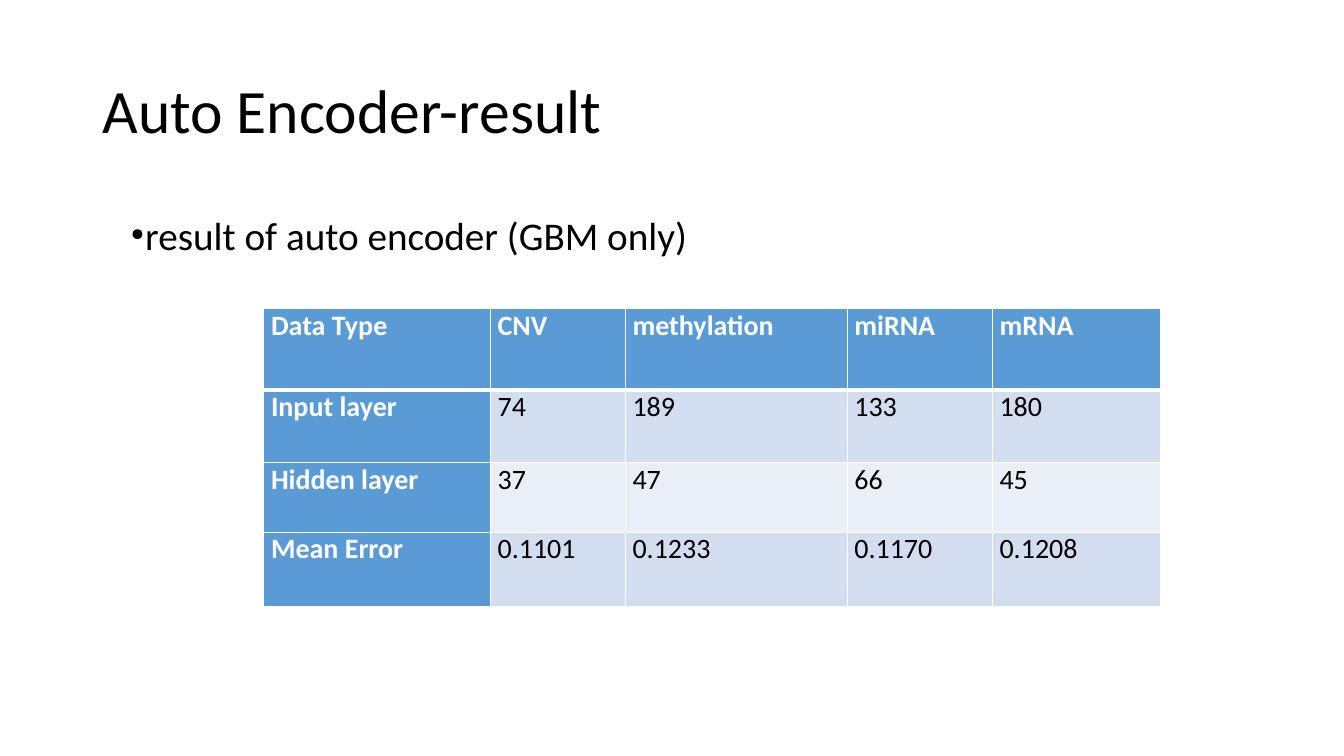
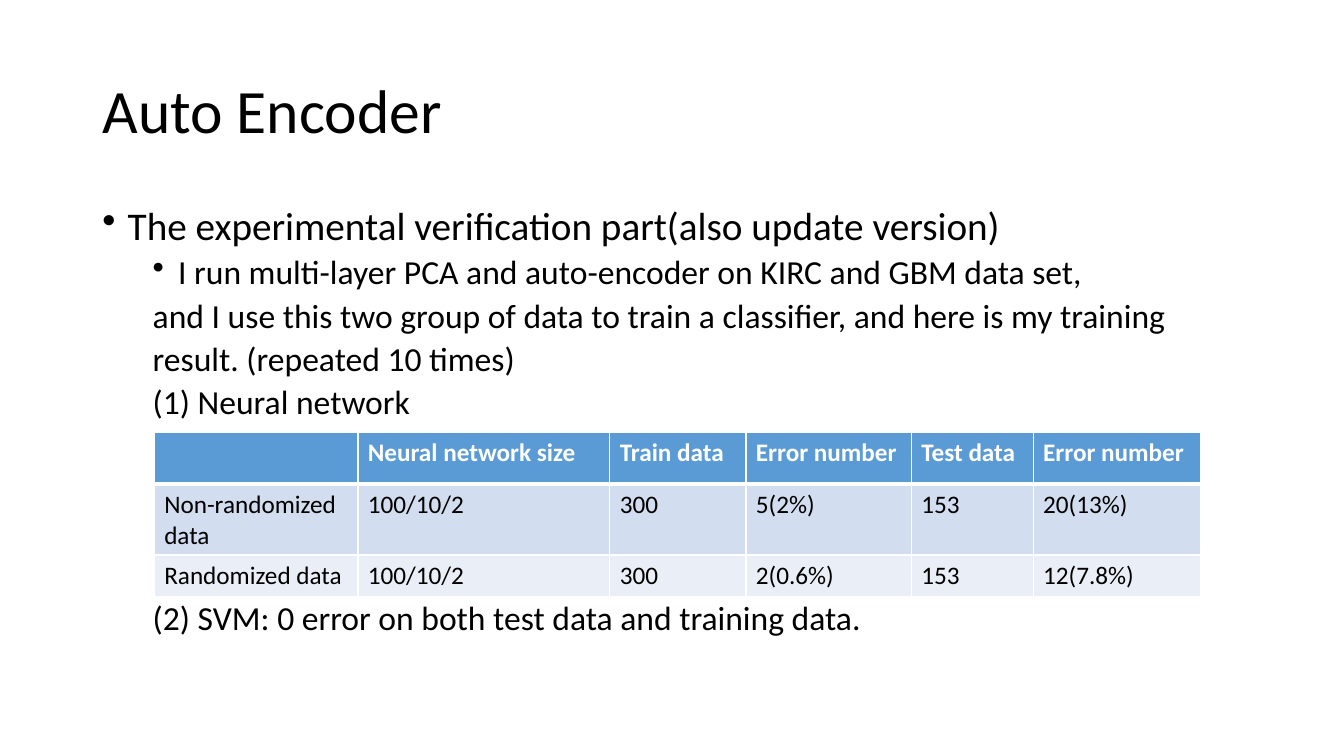
from lxml import etree
from pptx import Presentation
from pptx.dml.color import RGBColor
from pptx.enum import text
from pptx.oxml import ns
from pptx.util import Cm, Pt

FONT = "Calibri"
BLACK = RGBColor(0x00, 0x00, 0x00)
WHITE = RGBColor(0xFF, 0xFF, 0xFF)
BLUE = RGBColor(0x5B, 0x9B, 0xD5)
BANDS = (RGBColor(0xD2, 0xDE, 0xEF), RGBColor(0xEA, 0xEF, 0xF7))

TITLE_BOX = (2.33, 1.02, 29.21, 3.68)

RESULT_ROWS = [
    ["Data Type", "CNV", "methylation", "miRNA", "mRNA"],
    ["Input layer", "74", "189", "133", "180"],
    ["Hidden layer", "37", "47", "66", "45"],
    ["Mean Error", "0.1101", "0.1233", "0.1170", "0.1208"],
]
CLASSIFIER_ROWS = [
    ["", "Neural network size", "Train data", "Error number", "Test data", "Error number"],
    ["Non-randomized data", "100/10/2", "300", "5(2%)", "153", "20(13%)"],
    ["Randomized data", "100/10/2", "300", "2(0.6%)", "153", "12(7.8%)"],
]


def add_bullet(para, char, percent):
    properties = para._p.get_or_add_pPr()
    size = etree.SubElement(properties, ns.qn("a:buSzPct"))
    size.set("val", str(percent * 1000))
    etree.SubElement(properties, ns.qn("a:buChar")).set("char", char)


def write(para, words, size, color=BLACK, bold=False, spacing=1.0, before=0,
          left=0, hanging=0, bullet=None, bullet_percent=100):
    """Fill one paragraph; left and hanging are indents in centimetres."""
    para.alignment = text.PP_ALIGN.LEFT
    para.line_spacing = spacing
    para.space_before = Pt(before)
    properties = para._p.get_or_add_pPr()
    properties.set("marL", str(Cm(left)))
    properties.set("indent", str(Cm(-hanging)))
    if bullet:
        add_bullet(para, bullet, bullet_percent)
    span = para.add_run()
    span.text = words
    span.font.name = FONT
    span.font.size = Pt(size)
    span.font.bold = bold
    span.font.color.rgb = color


def add_page(deck, title):
    page = deck.slides.add_slide(deck.slide_layouts[5])
    box = page.shapes.title
    box.left, box.top, box.width, box.height = map(Cm, TITLE_BOX)
    frame = box.text_frame
    frame.word_wrap = True
    frame.auto_size = text.MSO_AUTO_SIZE.NONE
    frame.vertical_anchor = text.MSO_ANCHOR.MIDDLE
    write(frame.paragraphs[0], title, 44, spacing=0.9)
    return page


def add_text_box(page, box, lines):
    """Place (words, format) pairs in a box, one paragraph each."""
    frame = page.shapes.add_textbox(*map(Cm, box)).text_frame
    frame.word_wrap = True
    for index, (words, style) in enumerate(lines):
        para = frame.add_paragraph() if index else frame.paragraphs[0]
        write(para, words, **style)


def add_borders(cell, bottom):
    properties = cell._tc.get_or_add_tcPr()
    for side, width in (("L", 1), ("R", 1), ("B", bottom)):
        line = etree.SubElement(properties, ns.qn(f"a:ln{side}"))
        line.set("w", str(Pt(width)))
        fill = etree.SubElement(line, ns.qn("a:solidFill"))
        etree.SubElement(fill, ns.qn("a:srgbClr")).set("val", str(WHITE))


def add_data_table(page, corner, widths, heights, rows, size,
                   margins=(0.25, 0.13), header_column=False):
    box = (*corner, sum(widths), sum(heights))
    table = page.shapes.add_table(len(rows), len(widths), *map(Cm, box)).table
    table.first_col = header_column
    for column, width in zip(table.columns, widths):
        column.width = Cm(width)
    for row, height in zip(table.rows, heights):
        row.height = Cm(height)
    for r, values in enumerate(rows):
        for c, value in enumerate(values):
            cell = table.cell(r, c)
            header = r == 0 or (header_column and c == 0)
            add_borders(cell, bottom=1 if r else 3)
            cell.fill.solid()
            cell.fill.fore_color.rgb = BLUE if header else BANDS[(r - 1) % 2]
            cell.margin_left = cell.margin_right = Cm(margins[0])
            cell.margin_top = cell.margin_bottom = Cm(margins[1])
            if value:
                write(cell.text_frame.paragraphs[0], value, size,
                      color=WHITE if header else BLACK, bold=header)


def build_result_page(deck):
    page = add_page(deck, "Auto Encoder-result")
    add_data_table(page, (6.65, 7.77), (5.71, 3.4, 5.59, 3.66, 4.24),
                   (2.06, 1.83, 1.75, 1.88), RESULT_ROWS, 20,
                   margins=(0.18, 0), header_column=True)
    point = dict(size=28, left=0.36, hanging=0.36, bullet="●", bullet_percent=43)
    add_text_box(page, (3.05, 5.21, 14.86, 2.24),
                 [("result of auto encoder (GBM only)", point)])


def build_verification_page(deck):
    page = add_page(deck, "Auto Encoder")
    point = dict(size=28, spacing=0.9, before=10, left=0.64, hanging=0.64, bullet="•")
    plain = dict(size=24, spacing=0.9, before=5, left=1.27)
    subpoint = dict(plain, left=1.91, hanging=0.64, bullet="•")
    below_table = dict(plain, before=128)
    add_text_box(page, (2.33, 5.08, 29.21, 12.09), [
        ("The experimental verification part(also update version)", point),
        ("I run multi-layer PCA and auto-encoder on KIRC and GBM data set,", subpoint),
        ("and I use this two group of data to train a classifier, and here is my training", plain),
        ("result. (repeated 10 times)", plain),
        ("(1) Neural network", plain),
        ("(2) SVM: 0 error on both test data and training data.", below_table),
    ])
    add_data_table(page, (3.89, 10.9), (5.13, 6.35, 3.43, 4.17, 3.07, 4.22),
                   (1.3, 1.78, 1.04), CLASSIFIER_ROWS, 18)


def main():
    deck = Presentation()
    deck.slide_width, deck.slide_height = Cm(33.87), Cm(19.05)
    build_result_page(deck)
    build_verification_page(deck)
    deck.save("out.pptx")


if __name__ == "__main__":
    main()
